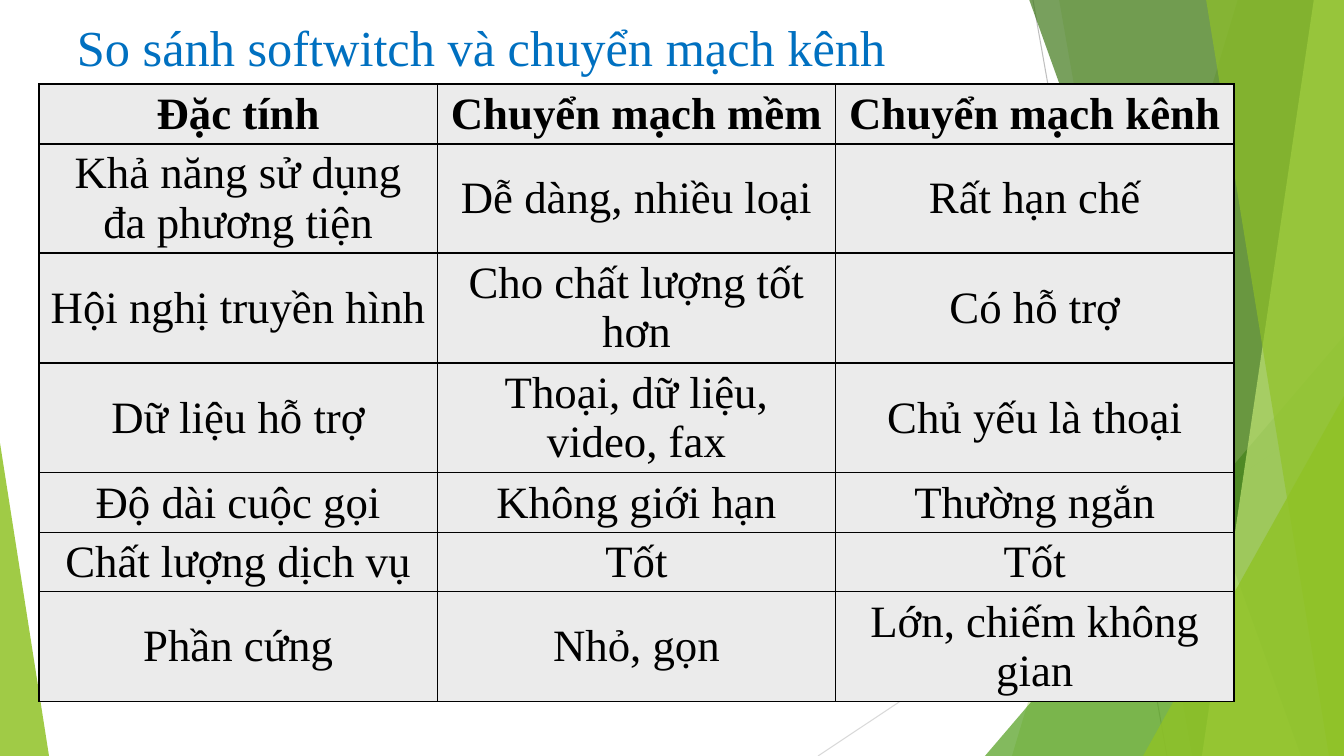
from lxml import etree
from pptx import Presentation, util as u
from pptx.dml.color import RGBColor
from pptx.enum import shapes as sh, text as t
from pptx.oxml.ns import qn

PX = 914400 / 100.8
WIDE, HIGH = 1344, 756
FONT = "Times New Roman"


def px(*nums):
    return [u.Emu(round(n * PX)) for n in nums]


def tint(fmt, color, alpha=100):
    """Give a fill or font colour, with opacity in percent."""
    fmt.rgb = RGBColor.from_string(color)
    if alpha < 100:
        node = fmt._xFill.find(qn("a:srgbClr"))
        etree.SubElement(node, qn("a:alpha"), val=str(alpha * 1000))


deck = Presentation()
deck.slide_width, deck.slide_height = px(WIDE, HIGH)
slide = deck.slides.add_slide(deck.slide_layouts[6])
items = slide.shapes

# Thin grey lines behind the facets
for ends, color in [((1033, 0, 1167, HIGH), "BFBFBF"),
                    ((WIDE, 406, 818, HIGH), "D9D9D9")]:
    line = items.add_connector(sh.MSO_CONNECTOR.STRAIGHT, *px(*ends))
    line.line.width = u.Pt(0.75)
    tint(line.line.color, color)
    etree.SubElement(line._element.spPr, qn("a:effectLst"))

# Green facets: (top x, bottom x) reach the right edge,
# (left, top, width, height, apex) are triangles
facets = [
    ((1238, 1012), "90C226", 30),
    ((1059, 1192), "90C226", 20),
    ((985, 336, 359, 420, 1), "54A021", 72),
    ((1029, 1301), "3F7819", 70),
    ((1314, 1202), "C0E474", 70),
    ((1206, 1329), "90C226", 65),
    ((1143, 396, 201, 360, 1), "90C226", 80),
    ((0, 443, 49, 313, 0), "90C226", 85),
]
for geo, color, alpha in facets:
    if len(geo) == 2:
        top, base = geo
        pen = items.build_freeform(top, -1, scale=PX)
        pen.add_line_segments([(WIDE, -1), (WIDE, HIGH), (base, HIGH)])
        facet = pen.convert_to_shape()
    else:
        facet = items.add_shape(sh.MSO_SHAPE.ISOSCELES_TRIANGLE, *px(*geo[:4]))
        facet.adjustments[0] = geo[4]
    facet.shadow.inherit = False
    facet.line.fill.background()
    facet.fill.solid()
    # The fill holds the colour node that carries the opacity
    tint(facet.fill.fore_color, color, alpha)

# Title
frame = items.add_textbox(*px(67, 11, 948, 145)).text_frame
frame.word_wrap = True
frame.text = "So sánh softwitch và chuyển mạch kênh"
font = frame.paragraphs[0].runs[0].font
for key, val in {"name": FONT, "size": u.Pt(36)}.items():
    setattr(font, key, val)
tint(font.color, "0070C0")

# Comparison table: row height, then the three cells
rows = [
    (60, "Đặc tính", "Chuyển mạch mềm", "Chuyển mạch kênh"),
    (109, "Khả năng sử dụng đa phương tiện", "Dễ dàng, nhiều loại", "Rất hạn chế"),
    (110, "Hội nghị truyền hình", "Cho chất lượng tốt hơn", "Có hỗ trợ"),
    (110, "Dữ liệu hỗ trợ", "Thoại, dữ liệu, video, fax", "Chủ yếu là thoại"),
    (60, "Độ dài cuộc gọi", "Không giới hạn", "Thường ngắn"),
    (59, "Chất lượng dịch vụ", "Tốt", "Tốt"),
    (110, "Phần cứng", "Nhỏ, gọn", "Lớn, chiếm không gian"),
]
total = sum(row[0] for row in rows)
table = items.add_table(len(rows), 3, *px(39, 84, 1195, total)).table
for r, (tall, *words) in enumerate(rows):
    table.rows[r].height = px(tall)[0]
    for c, word in enumerate(words):
        cell = table.cell(r, c)
        cell.text = word
        place = {"vertical_anchor": t.MSO_ANCHOR.MIDDLE,
                 "margin_top": 0, "margin_bottom": 0}
        for key, val in place.items():
            setattr(cell, key, val)
        para = cell.text_frame.paragraphs[0]
        para.alignment = t.PP_ALIGN.CENTER
        font = para.runs[0].font
        look = {"name": FONT, "size": u.Pt(32), "bold": r == 0}
        for key, val in look.items():
            setattr(font, key, val)
        tint(font.color, "000000")
        # Borders come before the fill in the cell properties
        props = cell._tc.get_or_add_tcPr()
        for side in ("lnL", "lnR", "lnT", "lnB"):
            edge = etree.SubElement(props, qn("a:" + side), w=str(u.Pt(1)))
            ink = etree.SubElement(edge, qn("a:solidFill"))
            etree.SubElement(ink, qn("a:srgbClr"), val="000000")
        cell.fill.solid()
        tint(cell.fill.fore_color, "EBEBEB")

deck.save("out.pptx")
